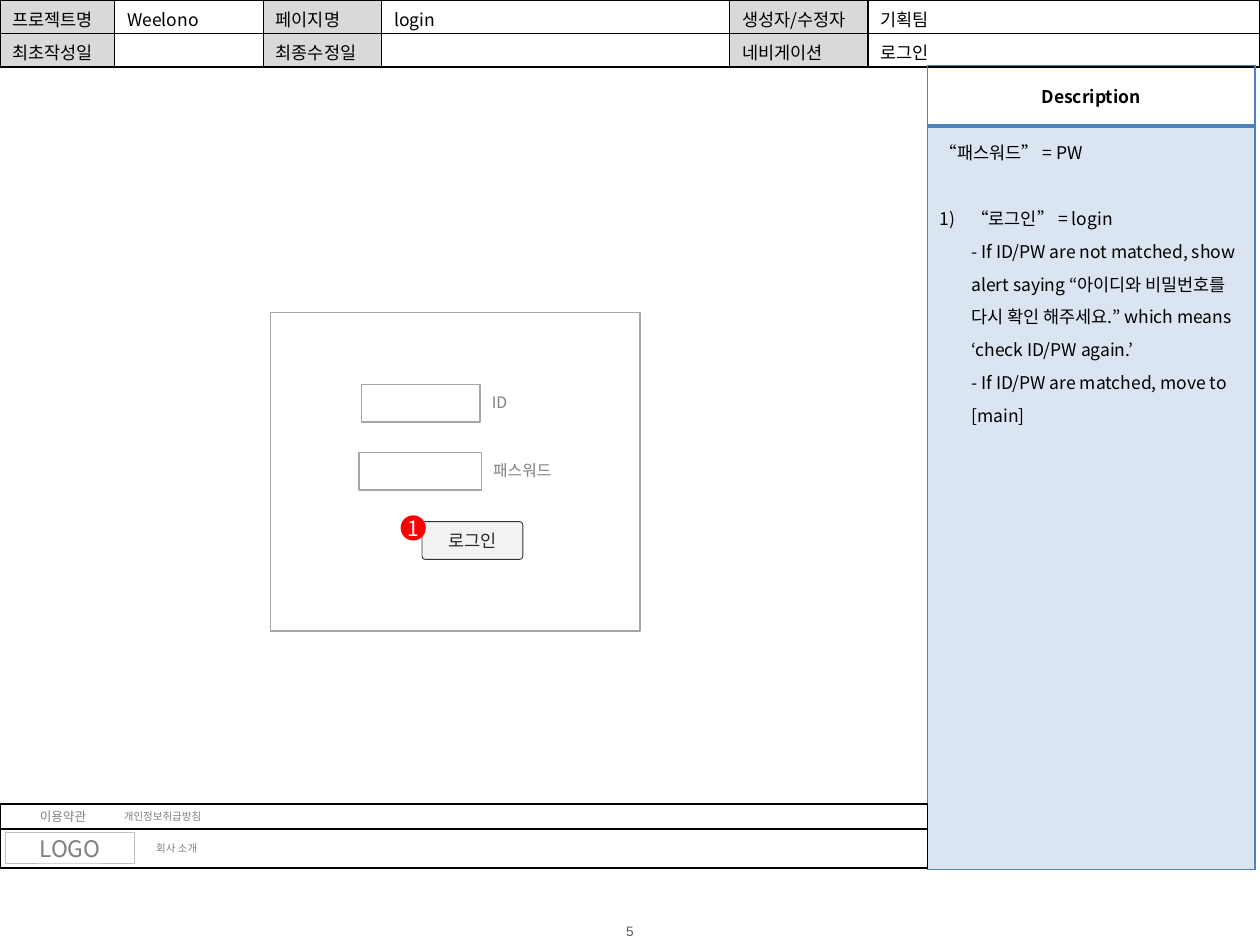
"""Build a login page storyboard slide with its description panel."""
import lxml.etree
import pptx
import pptx.dml.color
import pptx.enum.shapes
import pptx.enum.text
import pptx.oxml.ns
import pptx.util

RGB = pptx.dml.color.RGBColor.from_string
Pt = pptx.util.Pt
qn = pptx.oxml.ns.qn
SHAPE = pptx.enum.shapes.MSO_SHAPE
ALIGN = pptx.enum.text.PP_ALIGN
MIDDLE = pptx.enum.text.MSO_ANCHOR.MIDDLE

THEME = {
    "font": "Noto Sans CJK KR", "button_font": "Calibri", "number_font": "Arial",
    "black": "000000", "label": "D9D9D9", "accent": "4F81BD", "panel": "DBE5F1",
    "muted": "808080", "frame": "A6A6A6", "logo": "BFBFBF", "button": "F2F2F2",
    "button_line": "333333", "button_text": "262626", "marker": "FF0000",
    "white": "FFFFFF", "number": "595959",
    "body": 10, "field": 9, "terms": 7.2, "small": 6, "logo_size": 13,
    "marker_size": 12, "number_size": 7.8,
}


def write(tf, text, size, color, font="font", align=ALIGN.LEFT, bold=False):
    """Fill a text frame and format every run."""
    tf.text = text
    tf.word_wrap = True
    for p in tf.paragraphs:
        p.alignment = align
        for r in p.runs:
            r.font.size = Pt(THEME[size])
            r.font.bold = bold
            r.font.name = THEME[font]
            r.font.color.rgb = RGB(THEME[color])
            ea = lxml.etree.SubElement(r._r.get_or_add_rPr(), qn("a:ea"))
            ea.set("typeface", THEME[font])
        if not p.runs:
            p._p.get_or_add_endParaRPr().set("sz", str(THEME[size] * 100))


def style_cell(cell, fill, line, widths):
    """Set the left, right, top and bottom borders, then the fill."""
    tc_pr = cell._tc.get_or_add_tcPr()
    for side, width in zip("LRTB", widths):
        ln = lxml.etree.SubElement(tc_pr, qn(f"a:ln{side}"), w=str(Pt(width)))
        solid = lxml.etree.SubElement(ln, qn("a:solidFill"))
        lxml.etree.SubElement(solid, qn("a:srgbClr"), val=THEME[line])
    if fill:
        cell.fill.solid()
        cell.fill.fore_color.rgb = RGB(THEME[fill])
    else:
        cell.fill.background()


prs = pptx.Presentation()
prs.slide_width = pptx.util.Inches(10)
prs.slide_height = pptx.util.Inches(7.5)
col = prs.slide_width / 100
row = prs.slide_height / 75
s = prs.slides.add_slide(prs.slide_layouts[6])

header = [
    ["프로젝트명", "Weelono", "페이지명", "login", "생성자/수정자", "기획팀"],
    ["최초작성일", "", "최종수정일", "", "네비게이션", "로그인"],
]
header_cols = [9.1, 11.8, 9.4, 27.6, 11, 31.1]
tables = []
for rows, cols, left, top, widths, heights in [
    (2, 6, 0, 0, header_cols, [2.65, 2.65]),
    (2, 1, 73.6, 5.2, [26], [4.8, 59]),
]:
    frame = s.shapes.add_table(rows, cols, int(left * col), int(top * row),
                               int(sum(widths) * col), int(sum(heights) * row))
    table = frame.table
    table.first_row = table.horz_banding = False
    for column, width in zip(table.columns, widths):
        column.width = int(width * col)
    for line, height in zip(table.rows, heights):
        line.height = int(height * row)
    tables.append(table)

info, panel = tables
for i, texts in enumerate(header):
    for j, text in enumerate(texts):
        cell = info.cell(i, j)
        cell.margin_bottom = Pt(0.5)
        write(cell.text_frame, text, "body", "black")
        style_cell(cell, None if j % 2 else "label", "black", [1] * 4)

title, notes = panel.cell(0, 0), panel.cell(1, 0)
title.vertical_anchor = MIDDLE
write(title.text_frame, "Description", "body", "black", align=ALIGN.CENTER, bold=True)
style_cell(title, None, "accent", [1, 1, 1, 2])
steps = (
    "“로그인” = login\v- If ID/PW are not matched, show alert saying "
    "“아이디와 비밀번호를 다시 확인 해주세요.” which means ‘check ID/PW again.’\v"
    "- If ID/PW are matched, move to [main]"
)
write(notes.text_frame, "“패스워드” = PW\n" + steps, "body", "black")
style_cell(notes, "panel", "accent", [1, 1, 2, 1])
intro, step = notes.text_frame.paragraphs
intro.line_spacing = step.line_spacing = 1.3
intro.space_after = Pt(18.8)
p_pr = step._p.get_or_add_pPr()
p_pr.set("marL", str(int(2.5 * col)))
p_pr.set("indent", str(int(-2.5 * col)))
lxml.etree.SubElement(p_pr, qn("a:buFont"), typeface=THEME["font"])
lxml.etree.SubElement(p_pr, qn("a:buAutoNum"), type="arabicParenR")

RECT, ROUND, OVAL = SHAPE.RECTANGLE, SHAPE.ROUNDED_RECTANGLE, SHAPE.OVAL
CENTER, LEFT = ALIGN.CENTER, ALIGN.LEFT
items = [
    (RECT, (0.4, 66.1, 10.3, 2.4), None, "logo", 0.5, ("LOGO", "logo_size", "muted", "font", CENTER)),
    (None, (12.4, 65.8, 59.6, 3.1), None, None, 0, ("회사 소개", "small", "muted", "font", LEFT)),
    (RECT, (0, 63.8, 73.6, 5.1), None, "black", 0.75, None),
    (RECT, (0, 65.8, 73.6, 3.1), None, "black", 0.75, None),
    (None, (2, 63.5, 6, 2.6), None, None, 0, ("이용약관", "terms", "muted", "font", CENTER)),
    (None, (8, 63.5, 9.8, 2.6), None, None, 0, ("개인정보취급방침", "small", "muted", "font", CENTER)),
    (RECT, (28.7, 30.5, 9.4, 3), None, "frame", 0.75, None),
    (RECT, (28.5, 35.9, 9.7, 3), None, "frame", 0.75, None),
    (None, (34.8, 30.4, 9.7, 3.1), None, None, 0, ("ID", "field", "muted", "font", CENTER)),
    (None, (36.6, 35.8, 9.7, 3.1), None, None, 0, ("패스워드", "field", "muted", "font", CENTER)),
    (ROUND, (33.5, 41.4, 8, 3), "button", "button_line", 0.5,
     ("로그인", "body", "button_text", "button_font", CENTER)),
    (RECT, (21.5, 24.8, 29.3, 25.3), None, "frame", 0.75, None),
    (OVAL, (31.8, 40.9, 2, 2), "marker", None, 0, ("1", "marker_size", "white", "font", CENTER)),
    (None, (45.7, 73.2, 8.6, 1.4), None, None, 0, ("5", "number_size", "number", "number_font", CENTER)),
]
for kind, (x, y, w, h), fill, line, width, label in items:
    place = int(x * col), int(y * row), int(w * col), int(h * row)
    if kind is None:
        sp = s.shapes.add_textbox(*place)
    else:
        sp = s.shapes.add_shape(kind, *place)
        sp.shadow.inherit = False
        if fill:
            sp.fill.solid()
            sp.fill.fore_color.rgb = RGB(THEME[fill])
        else:
            sp.fill.background()
        if line:
            sp.line.color.rgb = RGB(THEME[line])
            sp.line.width = Pt(width)
        else:
            sp.line.fill.background()
        if kind == ROUND:
            sp.adjustments[0] = 0.09
    if label:
        tf = sp.text_frame
        tf.margin_left = tf.margin_right = tf.margin_top = tf.margin_bottom = 0
        tf.vertical_anchor = MIDDLE
        write(tf, *label)

prs.save("out.pptx")
